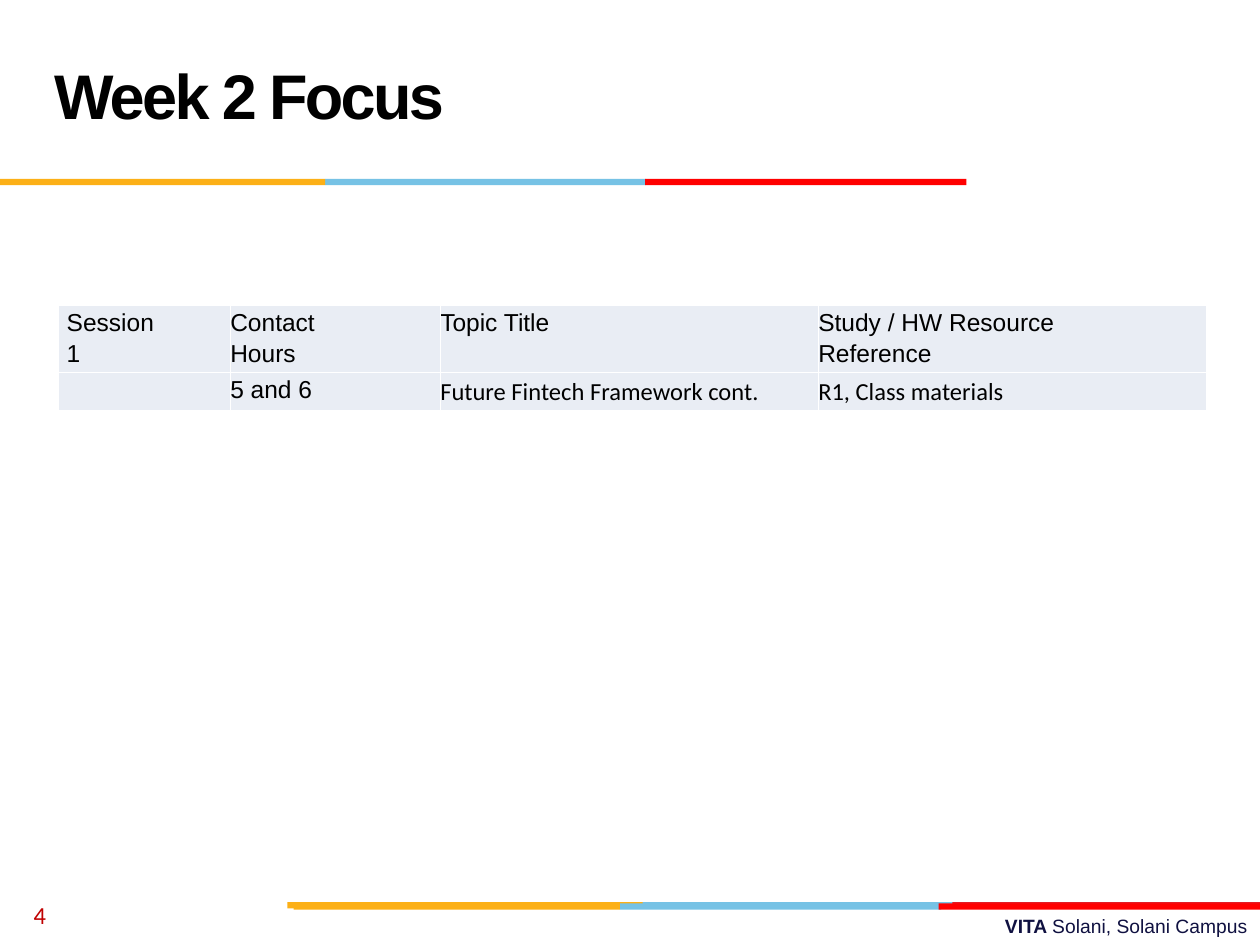
import pptx
import pptx.dml.color
import pptx.enum.shapes
import pptx.enum.text
import pptx.oxml
import pptx.util
from lxml import etree

Pt = pptx.util.Pt
ALIGN = pptx.enum.text.PP_ALIGN
ANCHOR = pptx.enum.text.MSO_ANCHOR

THEME = {
    "gold": "FCB017", "sky": "76C2E5", "crimson": "E31C24", "red": "FF0000",
    "ink": "000000", "navy": "101141", "number": "C00000",
    "cell": "E9EDF4", "border": "FFFFFF",
    "head": "Arial", "body": "Calibri",
    "title_size": 36, "text_size": 14, "footer_size": 11,
}

TITLE = "Week 2 Focus"
PAGE = "4"
FOOTER = [("VITA ", True), ("Solani, Solani Campus", False)]
ROWS = [
    ["Session\n1", "Contact\nHours", "Topic Title", "Study / HW Resource\nReference"],
    ["", "5 and 6", "Future Fintech Framework cont.", "R1, Class materials"],
]
COL_WIDTHS = [98.5, 120, 216, 222]
ROW_HEIGHTS = [38.3, 18.7]
BAR_HEIGHT = 3.6
STRIPES = [
    (515.5, [("sky", 364.3, 183.6), ("crimson", 544.3, 175.7), ("gold", 164.2, 203)]),
    (516.2, [("sky", 354.2, 183.6), ("gold", 167.8, 186.4), ("red", 536.4, 183.6)]),
    (102.2, [("sky", 185.8, 183.2), ("gold", 0, 185.8), ("red", 368.6, 183.6)]),
]


def rgb(name):
    return pptx.dml.color.RGBColor.from_string(THEME[name])


def write(tf, text, size="text_size", font="head", color="ink", bold=False,
          align=ALIGN.LEFT, line=None, after=0, spacing=None):
    p = tf.paragraphs[0]
    p.alignment = align
    p.space_after = Pt(after)
    if line:
        p.line_spacing = line
    for i, part in enumerate(text.split("\n")):
        if i:
            p.add_line_break()
        r = p.add_run()
        r.text = part
        r.font.size = Pt(THEME[size])
        r.font.name = THEME[font]
        r.font.bold = bold
        r.font.color.rgb = rgb(color)
        if spacing:
            r._r.get_or_add_rPr().set("spc", str(int(spacing * 100)))


def add_box(s, left, top, width, height, anchor=ANCHOR.MIDDLE):
    tf = s.shapes.add_textbox(Pt(left), Pt(top), Pt(width), Pt(height)).text_frame
    tf.word_wrap = True
    tf.vertical_anchor = anchor
    return tf


def add_bar(s, color, left, top, width):
    sp = s.shapes.add_shape(pptx.enum.shapes.MSO_SHAPE.RECTANGLE,
                            Pt(left), Pt(top), Pt(width), Pt(BAR_HEIGHT))
    sp.shadow.inherit = False
    sp.fill.solid()
    sp.fill.fore_color.rgb = rgb(color)
    sp.line.fill.background()


def add_borders(cell):
    tcPr = cell._tc.get_or_add_tcPr()
    ns = pptx.oxml.ns.qn
    for i, side in enumerate(("lnL", "lnR", "lnT", "lnB")):
        ln = etree.Element(ns("a:" + side), w=str(Pt(1)))
        fill = etree.SubElement(ln, ns("a:solidFill"))
        etree.SubElement(fill, ns("a:srgbClr"), val=THEME["border"])
        tcPr.insert(i, ln)


def add_schedule(s, left, top):
    table = s.shapes.add_table(len(ROWS), len(COL_WIDTHS), Pt(left), Pt(top),
                               Pt(sum(COL_WIDTHS)), Pt(sum(ROW_HEIGHTS))).table
    table.first_row = table.horz_banding = False
    for column, width in zip(table.columns, COL_WIDTHS):
        column.width = Pt(width)
    for i, (row, height) in enumerate(zip(ROWS, ROW_HEIGHTS)):
        table.rows[i].height = Pt(height)
        for j, text in enumerate(row):
            cell = table.cell(i, j)
            cell.margin_left = cell.margin_right = Pt(0 if j else 5)
            cell.margin_top = cell.margin_bottom = 0
            cell.fill.solid()
            cell.fill.fore_color.rgb = rgb("cell")
            add_borders(cell)
            topic = i > 0 and j > 1
            write(cell.text_frame, text, font="body" if topic else "head",
                  line=1.15, after=10 if topic else 0)


def main():
    prs = pptx.Presentation()
    prs.slide_width, prs.slide_height = Pt(720), Pt(540)
    s = prs.slides.add_slide(prs.slide_layouts[6])

    footer = add_box(s, 257.8, 519.1, 462.2, 20.9, ANCHOR.TOP)
    for text, bold in FOOTER:
        write(footer, text, size="footer_size", color="navy", bold=bold, align=ALIGN.RIGHT)
    for top, bars in STRIPES:
        for color, left, width in bars:
            add_bar(s, color, left, top, width)
    write(add_box(s, 23.8, 12.2, 498.2, 90), TITLE, size="title_size", bold=True,
          line=Pt(36), spacing=-1.5)
    write(add_box(s, 12.2, 508.3, 167.8, 28.8), PAGE, font="body", color="number")
    add_schedule(s, 33.1, 174.2)
    prs.save("out.pptx")


if __name__ == "__main__":
    main()
